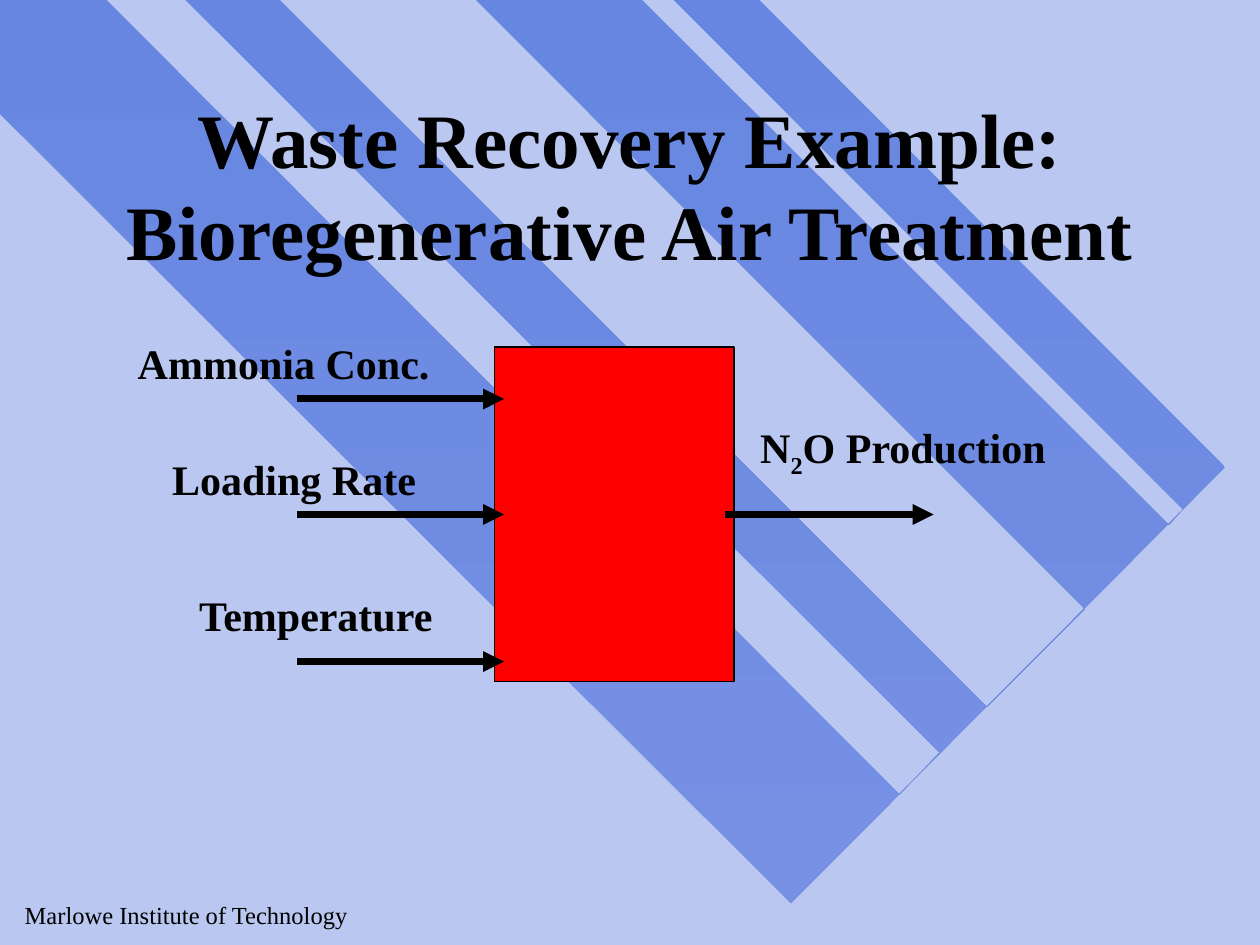
from dataclasses import dataclass

from lxml.etree import SubElement
from pptx import Presentation
from pptx.dml.color import RGBColor
from pptx.enum.shapes import MSO_CONNECTOR, MSO_SHAPE
from pptx.enum.text import MSO_ANCHOR, MSO_AUTO_SIZE, PP_ALIGN
from pptx.oxml.ns import qn
from pptx.slide import Slide
from pptx.util import Pt

BACKGROUND = RGBColor(0xBA, 0xC8, 0xF1)
STRIPE_TOP = RGBColor(0x67, 0x86, 0xE1)
STRIPE_BOTTOM = RGBColor(0x76, 0x91, 0xE3)
RED = RGBColor(0xFF, 0x00, 0x00)
BLACK = RGBColor(0x00, 0x00, 0x00)
FONT = "Times New Roman"

STRIPE_POINTS = [
    (700.5, 267), (433.5, 0), (385, 0), (676.5, 291), (667.5, 300.5), (367, 0),
    (271.5, 0), (619.5, 348.5), (563.5, 404), (160.5, 0), (106.5, 0),
    (537, 430.5), (514.5, 453.5), (61, 0), (0, 0), (0, 65), (451.5, 516),
]


@dataclass(frozen=True)
class Label:
    spans: tuple[str, ...]
    left: float
    top: float
    width: float
    height: float = 36
    size: float = 24
    bold: bool = True
    align: PP_ALIGN = PP_ALIGN.CENTER
    anchor: MSO_ANCHOR = MSO_ANCHOR.TOP
    wrap: bool = False
    subscript: int | None = None


@dataclass(frozen=True)
class Arrow:
    tip: float
    tail: float
    y: float


LABELS = [
    Label(("Marlowe Institute of Technology",), 7, 510.5, 204, 24, size=14,
          bold=False, align=PP_ALIGN.LEFT, anchor=MSO_ANCHOR.MIDDLE),
    Label(("Waste Recovery Example:\vBioregenerative Air Treatment",),
          54, 60, 612, 90, size=44, anchor=MSO_ANCHOR.MIDDLE, wrap=True),
    Label(("Ammonia Conc.",), 71, 189.5, 182),
    Label(("Loading Rate",), 91, 255.5, 154),
    Label(("Temperature",), 105, 333.5, 151),
    Label(("N", "2", "O Production"), 427, 237.5, 178, 39.5, subscript=1),
]

ARROWS = [
    Arrow(288, 169.5, 228),
    Arrow(288, 169.5, 294),
    Arrow(288, 169.5, 378),
    Arrow(533.5, 414, 294),
]


def draw_stripes(page: Slide) -> None:
    start, *rest = STRIPE_POINTS
    builder = page.shapes.build_freeform(*start, scale=Pt(1))
    builder.add_line_segments(rest, close=True)
    stripes = builder.convert_to_shape()
    stripes.shadow.inherit = False
    stripes.line.fill.background()
    stripes.fill.gradient()
    stripes.fill.gradient_angle = 270
    for stop, color in zip(stripes.fill.gradient_stops, (STRIPE_TOP, STRIPE_BOTTOM)):
        stop.color.rgb = color


def draw_reactor(page: Slide) -> None:
    reactor = page.shapes.add_shape(
        MSO_SHAPE.RECTANGLE, Pt(282.5), Pt(198.5), Pt(137), Pt(191))
    reactor.shadow.inherit = False
    reactor.fill.solid()
    reactor.fill.fore_color.rgb = RED
    reactor.line.color.rgb = BLACK
    reactor.line.width = Pt(1)


def draw_arrow(page: Slide, arrow: Arrow) -> None:
    connector = page.shapes.add_connector(
        MSO_CONNECTOR.STRAIGHT, Pt(arrow.tip), Pt(arrow.y), Pt(arrow.tail), Pt(arrow.y))
    connector.line.color.rgb = BLACK
    connector.line.width = Pt(4)
    properties = connector._element.spPr
    SubElement(properties.find(qn("a:ln")), qn("a:headEnd"), type="triangle")
    SubElement(properties, qn("a:effectLst"))


def draw_label(page: Slide, label: Label) -> None:
    box = page.shapes.add_textbox(
        Pt(label.left), Pt(label.top), Pt(label.width), Pt(label.height))
    frame = box.text_frame
    frame.word_wrap = label.wrap
    if not label.wrap:
        frame.auto_size = MSO_AUTO_SIZE.SHAPE_TO_FIT_TEXT
    frame.vertical_anchor = label.anchor
    paragraph = frame.paragraphs[0]
    paragraph.alignment = label.align
    if len(label.spans) == 1:
        paragraph.text = label.spans[0]
    else:
        for text in label.spans:
            paragraph.add_run().text = text
    for index, span in enumerate(paragraph.runs):
        span.font.name = FONT
        span.font.size = Pt(label.size)
        span.font.bold = label.bold
        span.font.color.rgb = BLACK
        if index == label.subscript:
            span.font._element.set("baseline", "-25000")


def main() -> None:
    deck = Presentation()
    deck.slide_width, deck.slide_height = Pt(720), Pt(540)
    page = deck.slides.add_slide(deck.slide_layouts[6])
    page.background.fill.solid()
    page.background.fill.fore_color.rgb = BACKGROUND
    draw_stripes(page)
    draw_reactor(page)
    for arrow in ARROWS:
        draw_arrow(page, arrow)
    for label in LABELS:
        draw_label(page, label)
    deck.save("out.pptx")


if __name__ == "__main__":
    main()
